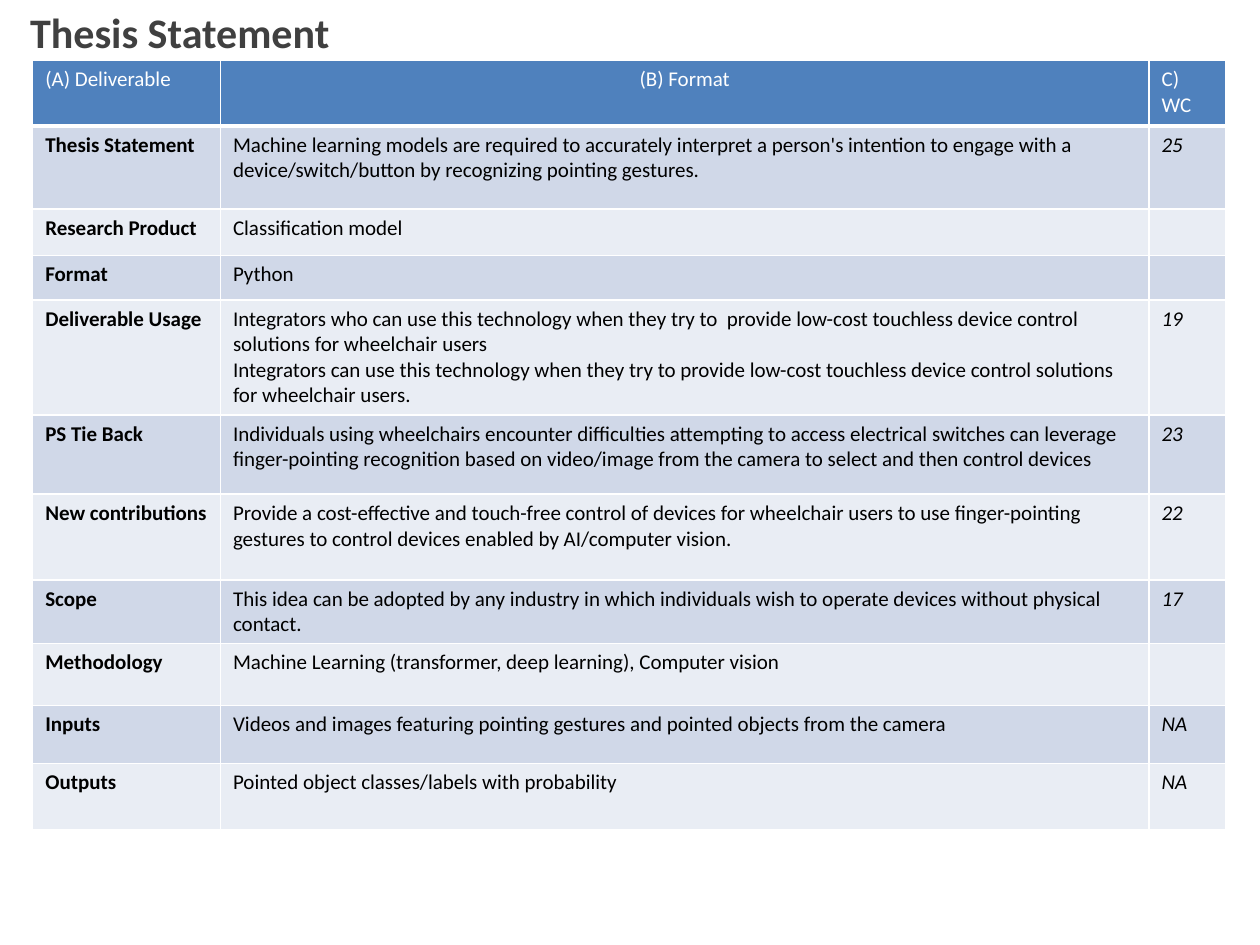
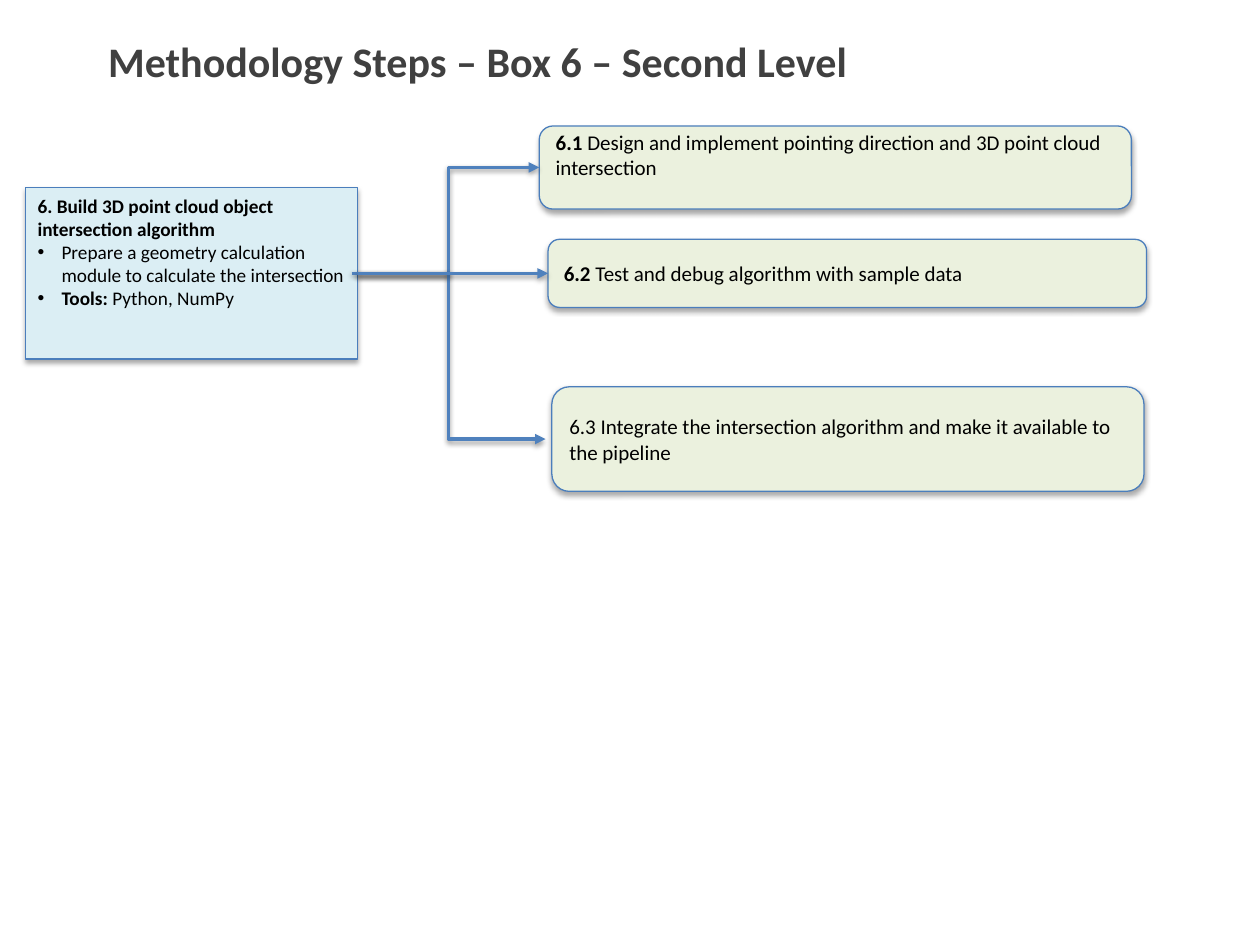
from lxml.etree import SubElement
from pptx import Presentation
from pptx.dml.color import RGBColor
from pptx.enum.shapes import MSO_CONNECTOR as LINK, MSO_SHAPE as SHAPE
from pptx.enum.text import MSO_ANCHOR as ANCHOR, PP_ALIGN as ALIGN
from pptx.oxml.ns import qn
from pptx.util import Inches, Pt

# Shared look
FONT = "Calibri"
BLACK, WHITE, TITLE_GREY = "000000", "FFFFFF", "404040"
BLUE, OUTLINE = "4F81BD", "4B7EBC"
BANDS = ("D0D8E8", "E9EDF4")
TASK_FILL, STEP_FILL = "DBEEF4", "EBF1DE"
BODY, SMALL, HEADING = 12, 11, 24

# Thesis table: label, paragraphs, word count
THESIS_TITLE = ("Thesis Statement", (0.14, 0, 9.28, 0.29))
TABLE_AT = (0.26, 0.48)
COLUMNS = (1.49, 7.37, 0.61)
HEADER = ("(A) Deliverable", ["(B) Format"], "C) WC")
DELIVERABLES = [
    ("Thesis Statement", ["Machine learning models are required to accurately interpret a person's intention "
                          "to engage with a device/switch/button by recognizing pointing gestures."], "25"),
    ("Research Product", ["Classification model"], ""),
    ("Format", ["Python"], ""),
    ("Deliverable Usage", ["Integrators who can use this technology when they try to  provide low-cost "
                           "touchless device control solutions for wheelchair users",
                           "Integrators can use this technology when they try to provide low-cost "
                           "touchless device control solutions for wheelchair users."], "19"),
    ("PS Tie Back", ["Individuals using wheelchairs encounter difficulties attempting to access electrical "
                     "switches can leverage finger-pointing recognition based on video/image from the "
                     "camera to select and then control devices"], "23"),
    ("New contributions", ["Provide a cost-effective and touch-free control of devices for wheelchair users to "
                           "use finger-pointing gestures to control devices enabled by AI/computer vision."], "22"),
    ("Scope", ["This idea can be adopted by any industry in which individuals wish to operate devices "
               "without physical contact."], "17"),
    ("Methodology", ["Machine Learning (transformer, deep learning), Computer vision"], ""),
    ("Inputs", ["Videos and images featuring pointing gestures and pointed objects from the camera"], "NA"),
    ("Outputs", ["Pointed object classes/labels with probability"], "NA"),
]
ROW_HEIGHTS = (0.52, 0.66, 0.37, 0.35, 0.79, 0.63, 0.68, 0.48, 0.49, 0.46, 0.53)

# Methodology diagram: runs are (text, bold)
METHOD_TITLE = ("Methodology Steps – Box 6 – Second Level", (0.76, 0.23, 8.48, 0.81))
TASK_AT = (0.2, 1.49, 2.64, 1.36)
TASK_HEADING = [("6. Build 3D point cloud object intersection algorithm", True)]
TASK_POINTS = [
    [("Prepare a geometry calculation module to calculate the intersection", False)],
    [("Tools:", True), (" Python, NumPy", False)],
]
# Each step: place, runs, bottom inset, and how far its arrow is shifted at start and end
STEPS = [
    ((4.28, 1, 4.7, 0.66), [("6.1 ", True), ("Design and implement pointing direction and 3D point cloud "
                                             "intersection", False)], 0.25, (0, 0)),
    ((4.38, 3.07, 4.7, 0.83), [("6.3 Integrate the intersection algorithm and make it available to the "
                                "pipeline", False)], 0.05, (-0.05, -0.05)),
    ((4.35, 1.9, 4.75, 0.54), [("6.2 ", True), ("Test and debug algorithm with sample data", False)],
     0.05, (0, 0)),
]


def rgb(code):
    return RGBColor.from_string(code)


def inches(lengths):
    return [Inches(length) for length in lengths]


def add_run(paragraph, text, size=BODY, color=BLACK, bold=False, italic=False):
    run = paragraph.add_run()
    run.text = text
    font = run.font
    font.name, font.size, font.bold, font.italic = FONT, Pt(size), bold, italic
    font.color.rgb = rgb(color)


def paragraphs(frame, count):
    return [frame.paragraphs[0]] + [frame.add_paragraph() for _ in range(count - 1)]


def add_title(slide, text, place):
    frame = slide.shapes.add_textbox(*inches(place)).text_frame
    frame.word_wrap = True
    add_run(frame.paragraphs[0], text, HEADING, TITLE_GREY, bold=True)


def drop_shadow(item, distance, opacity):
    effects = SubElement(item._element.spPr, qn("a:effectLst"))
    shadow = SubElement(effects, qn("a:outerShdw"), blurRad=str(Pt(3.1)), dist=str(Pt(distance)),
                        dir="5400000", rotWithShape="0")
    color = SubElement(shadow, qn("a:srgbClr"), val=BLACK)
    SubElement(color, qn("a:alpha"), val=str(opacity * 1000))


# Thesis table
def border(cell, header):
    props = cell._tc.get_or_add_tcPr()
    for side in ("lnL", "lnR", "lnT", "lnB"):
        width = 3 if header and side == "lnB" else 1
        line = SubElement(props, qn(f"a:{side}"), w=str(Pt(width)))
        SubElement(SubElement(line, qn("a:solidFill")), qn("a:srgbClr"), val=WHITE)


def fill_cell(cell, texts, fill, header=False, **style):
    border(cell, header)
    cell.fill.solid()
    cell.fill.fore_color.rgb = rgb(fill)
    for paragraph, text in zip(paragraphs(cell.text_frame, len(texts)), texts):
        if text:
            add_run(paragraph, text, color=WHITE if header else BLACK, **style)
        else:
            SubElement(paragraph._p, qn("a:endParaRPr"), sz=str(BODY * 100))


def draw_thesis(slide):
    size = (sum(COLUMNS), sum(ROW_HEIGHTS))
    table = slide.shapes.add_table(len(ROW_HEIGHTS), len(COLUMNS), *inches(TABLE_AT + size)).table
    for column, width in zip(table.columns, COLUMNS):
        column.width = Inches(width)
    for index, (label, details, words) in enumerate([HEADER] + DELIVERABLES):
        header = index == 0
        fill = BLUE if header else BANDS[(index - 1) % 2]
        table.rows[index].height = Inches(ROW_HEIGHTS[index])
        fill_cell(table.cell(index, 0), [label], fill, header, bold=not header)
        fill_cell(table.cell(index, 1), details, fill, header)
        fill_cell(table.cell(index, 2), [words], fill, header, italic=not header)
    table.cell(0, 1).text_frame.paragraphs[0].alignment = ALIGN.CENTER
    add_title(slide, *THESIS_TITLE)


# Methodology diagram
def add_box(slide, kind, place, fill, anchor):
    box = slide.shapes.add_shape(kind, *inches(place))
    box.fill.solid()
    box.fill.fore_color.rgb = rgb(fill)
    box.line.color.rgb = rgb(OUTLINE)
    box.line.width = Pt(0.75)
    drop_shadow(box, 1.8, 35)
    box.text_frame.word_wrap = True
    box.text_frame.vertical_anchor = anchor
    return box


def add_task(slide):
    task = add_box(slide, SHAPE.RECTANGLE, TASK_AT, TASK_FILL, ANCHOR.TOP)
    lines = [TASK_HEADING] + TASK_POINTS
    for index, (paragraph, runs) in enumerate(zip(paragraphs(task.text_frame, len(lines)), lines)):
        paragraph.alignment = ALIGN.LEFT
        if index:
            props = paragraph._p.get_or_add_pPr()
            props.set("marL", str(Inches(0.19)))
            props.set("indent", str(-Inches(0.19)))
            SubElement(props, qn("a:buFont"), typeface="Arial")
            SubElement(props, qn("a:buChar"), char="•")
        for text, bold in runs:
            add_run(paragraph, text, SMALL, bold=bold)
    return task


def add_arrow(slide, task, step, shifts):
    start_x = task.left + task.width + Inches(shifts[0])
    start_y = task.top + task.height // 2
    end_x = step.left + Inches(shifts[1])
    end_y = step.top + step.height // 2
    straight = abs(end_y - start_y) < Inches(0.01)
    arrow = slide.shapes.add_connector(LINK.STRAIGHT if straight else LINK.ELBOW,
                                       start_x, start_y, end_x, end_y)
    if straight:
        arrow.begin_connect(task, 3)
        arrow.end_connect(step, 1)
    arrow.line.color.rgb = rgb(BLUE)
    arrow.line.width = Pt(2)
    SubElement(arrow.line._get_or_add_ln(), qn("a:tailEnd"), type="triangle")
    drop_shadow(arrow, 1.6, 38)


def draw_methodology(slide):
    add_title(slide, *METHOD_TITLE)
    task = add_task(slide)
    for place, runs, bottom_inset, shifts in STEPS:
        step = add_box(slide, SHAPE.ROUNDED_RECTANGLE, place, STEP_FILL, ANCHOR.MIDDLE)
        step.text_frame.margin_bottom = Inches(bottom_inset)
        paragraph = step.text_frame.paragraphs[0]
        paragraph.alignment = ALIGN.LEFT
        for text, bold in runs:
            add_run(paragraph, text, bold=bold)
        add_arrow(slide, task, step, shifts)


def main():
    deck = Presentation()
    deck.slide_width, deck.slide_height = inches((10, 7.5))
    for draw in (draw_thesis, draw_methodology):
        draw(deck.slides.add_slide(deck.slide_layouts[6]))
    deck.save("out.pptx")


if __name__ == "__main__":
    main()
